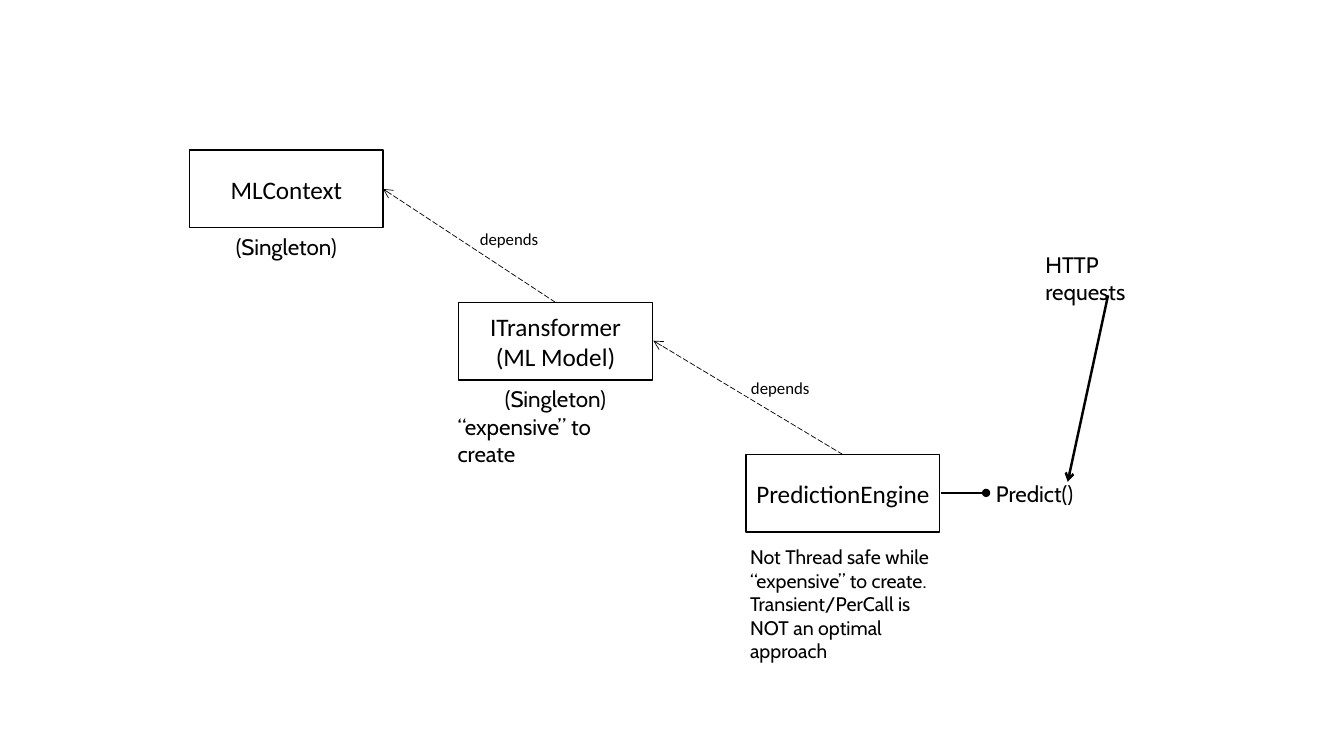
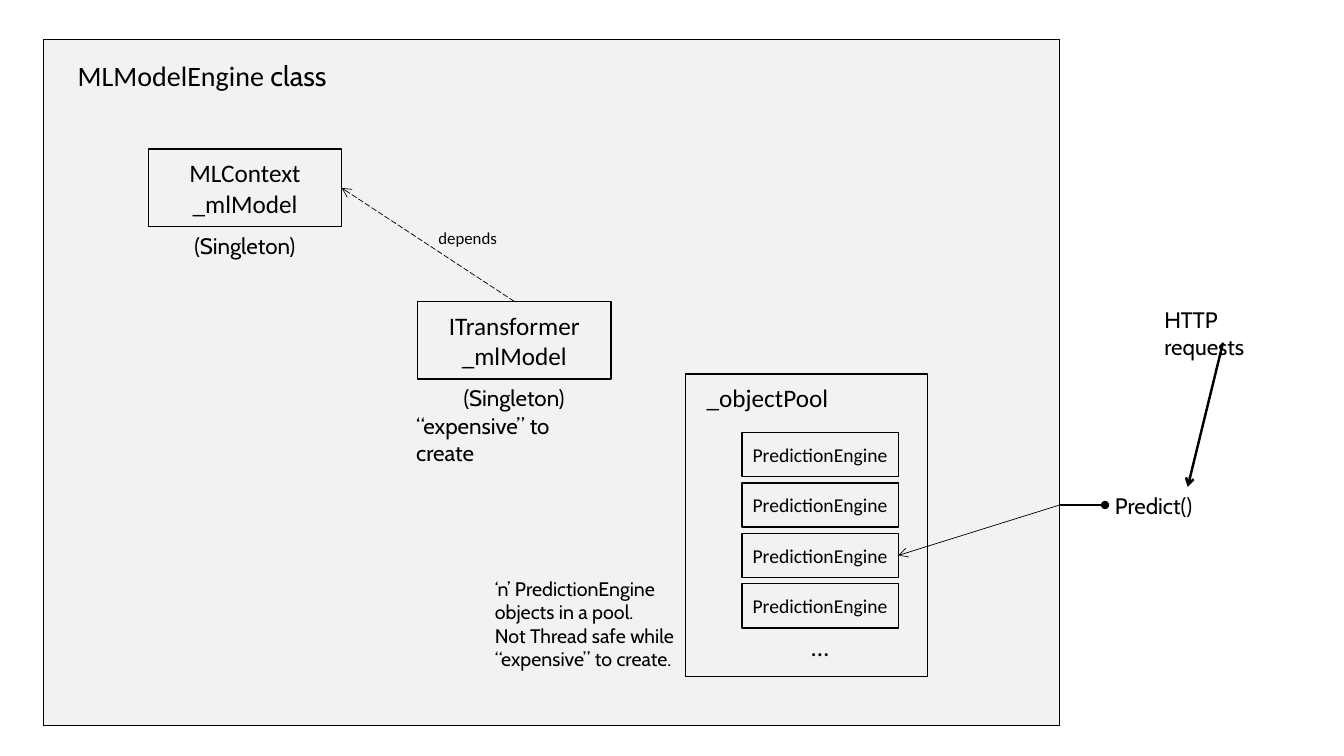
from dataclasses import dataclass

from lxml.etree import SubElement
from pptx import Presentation
from pptx.dml.color import RGBColor
from pptx.enum.dml import MSO_LINE
from pptx.enum.shapes import MSO_CONNECTOR, MSO_SHAPE
from pptx.enum.text import MSO_ANCHOR, MSO_AUTO_SIZE, PP_ALIGN
from pptx.oxml.ns import qn
from pptx.util import Inches, Pt


@dataclass(frozen=True)
class Theme:
    ink = RGBColor(0, 0, 0)
    panel = RGBColor(0xF2, 0xF2, 0xF2)
    outline = 1
    heading = ("Calibri", 20)
    box = ("Calibri", 18)
    small_box = ("Calibri", 14)
    link = ("Calibri", 12)
    label = ("Cabin", 16)
    note = ("Cabin", 14)
    # Line styles: width, dash, end mark
    depends = (0.5, MSO_LINE.LONG_DASH, "arrow")
    uses = (0.5, None, "arrow")
    exposes = (1, None, "oval")
    request = (1.75, None, "arrow")


theme = Theme()


def add_block(s, at, text="", style=theme.label, boxed=False, wrap=False, fill=None):
    """Add an outlined box, or a plain text box, with one paragraph per line."""
    at = [Inches(v) for v in at]
    if boxed:
        sp = s.shapes.add_shape(MSO_SHAPE.RECTANGLE, *at)
        sp.shadow.inherit = False
        sp.line.color.rgb, sp.line.width = theme.ink, Pt(theme.outline)
        if fill is None:
            sp.fill.background()
        else:
            sp.fill.solid()
            sp.fill.fore_color.rgb = fill
    else:
        sp = s.shapes.add_textbox(*at)
    tf = sp.text_frame
    frame = {
        "word_wrap": boxed or wrap,
        "vertical_anchor": MSO_ANCHOR.MIDDLE if boxed else MSO_ANCHOR.TOP,
        "auto_size": MSO_AUTO_SIZE.NONE if boxed else MSO_AUTO_SIZE.SHAPE_TO_FIT_TEXT,
    }
    for name, value in frame.items():
        setattr(tf, name, value)
    tf.text = text
    for p in tf.paragraphs:
        p.alignment = PP_ALIGN.CENTER if boxed else PP_ALIGN.LEFT
        p.font.name, p.font.size = style[0], Pt(style[1])
        p.font.color.rgb = theme.ink


def add_line(s, start, end, style):
    """Add a straight connector with a mark at its end."""
    width, dash, mark = style
    sp = s.shapes.add_connector(
        MSO_CONNECTOR.STRAIGHT, *[Inches(v) for v in (*start, *end)])
    sp.line.color.rgb, sp.line.width = theme.ink, Pt(width)
    if dash:
        sp.line.dash_style = dash
    SubElement(sp.line._get_or_add_ln(), qn("a:tailEnd"), type=mark)
    SubElement(sp._element.spPr, qn("a:effectLst"))


prs = Presentation()
prs.slide_width, prs.slide_height = Inches(13.33), Inches(7.5)
direct = prs.slides.add_slide(prs.slide_layouts[6])
pooled = prs.slides.add_slide(prs.slide_layouts[5])

# Class panel and its title, which lies on top of the panel
add_block(pooled, (0.43, 0.39, 10.08, 6.81), boxed=True, fill=theme.panel)
title = pooled.shapes.title
title.left, title.top, title.width, title.height = [
    Inches(v) for v in (0.67, 0.53, 2.67, 0.44)]
pooled.shapes._spTree.append(title._element)
tf = title.text_frame
for name, value in {"word_wrap": False, "vertical_anchor": MSO_ANCHOR.TOP,
                    "auto_size": MSO_AUTO_SIZE.SHAPE_TO_FIT_TEXT}.items():
    setattr(tf, name, value)
p = tf.paragraphs[0]
p.alignment = PP_ALIGN.LEFT
for text, font in (("MLModelEngine", theme.heading[0]), (" class", theme.label[0])):
    r = p.add_run()
    r.text = text
    r.font.name, r.font.size = font, Pt(theme.heading[1])
    r.font.color.rgb = theme.ink

# Context and model: the same pair on both slides, shifted
box_w, box_h = 1.92, 0.77
for s, x, y, context, model in (
    (direct, 1.88, 1.49, "MLContext", "ITransformer\n(ML Model)"),
    (pooled, 1.47, 1.48, "MLContext\n_mlModel", "ITransformer\n_mlModel"),
):
    model_x, model_y = x + 2.67, y + 1.51
    for left, top, text in ((x, y, context), (model_x, model_y, model)):
        add_block(s, (left, top, box_w, box_h), text, theme.box, boxed=True)
        add_block(s, (left + 0.36, top + box_h, 1.21, 0.37), "(Singleton)")
    add_line(s, (model_x + box_w / 2, model_y), (x + box_w, y + box_h / 2), theme.depends)
    add_block(s, (x + 2.78, y + 0.73, 0.79, 0.3), "depends", theme.link)
    add_block(s, (model_x - 0.11, model_y + 1.05, 2.1, 0.37),
              "“expensive” to create", wrap=True)

# Single engine
add_block(direct, (7.4, 4.51, box_w, box_h), "PredictionEngine", theme.box, boxed=True)
add_line(direct, (8.36, 4.51), (6.48, 3.38), theme.depends)
add_block(direct, (7.35, 3.7, 0.79, 0.3), "depends", theme.link)

# Pool of engines
add_block(pooled, (6.8, 3.71, 2.4, 3), boxed=True)
add_block(pooled, (6.91, 3.74, 1.42, 0.4), "_objectPool", theme.box)
for i in range(4):
    add_block(pooled, (7.36, 4.29 + i * 0.5, 1.55, 0.44),
              "PredictionEngine", theme.small_box, boxed=True)
add_block(pooled, (7.95, 6.21, 0.38, 0.4), "…", theme.box)
add_line(pooled, (10.51, 5.01), (8.91, 5.51), theme.uses)

# Notes
for s, x, y, text in (
    (direct, 7.34, 5.36, "Not Thread safe while “expensive” to create.\n"
                         "Transient/PerCall is NOT an optimal approach"),
    (pooled, 4.81, 5.67, "‘n’ PredictionEngine objects in a pool.\n"
                         "Not Thread safe while “expensive” to create."),
):
    add_block(s, (x, y, 2.18, 1.04), text, theme.note, wrap=True)

# Predict() endpoint and incoming requests
for s, x, y, request, start, end in (
    (direct, 9.33, 4.89, (10.27, 2.44), (10.99, 2.93), (10.59, 4.78)),
    (pooled, 10.51, 5.01, (11.45, 2.99), (12.13, 3.4), (11.78, 4.83)),
):
    add_line(s, (x, y), (x + 0.45, y), theme.exposes)
    add_block(s, (x + 0.45, y - 0.18, 0.97, 0.37), "Predict()")
    add_line(s, start, end, theme.request)
    add_block(s, (*request, 1.5, 0.37), "HTTP requests", wrap=True)

prs.save("out.pptx")
